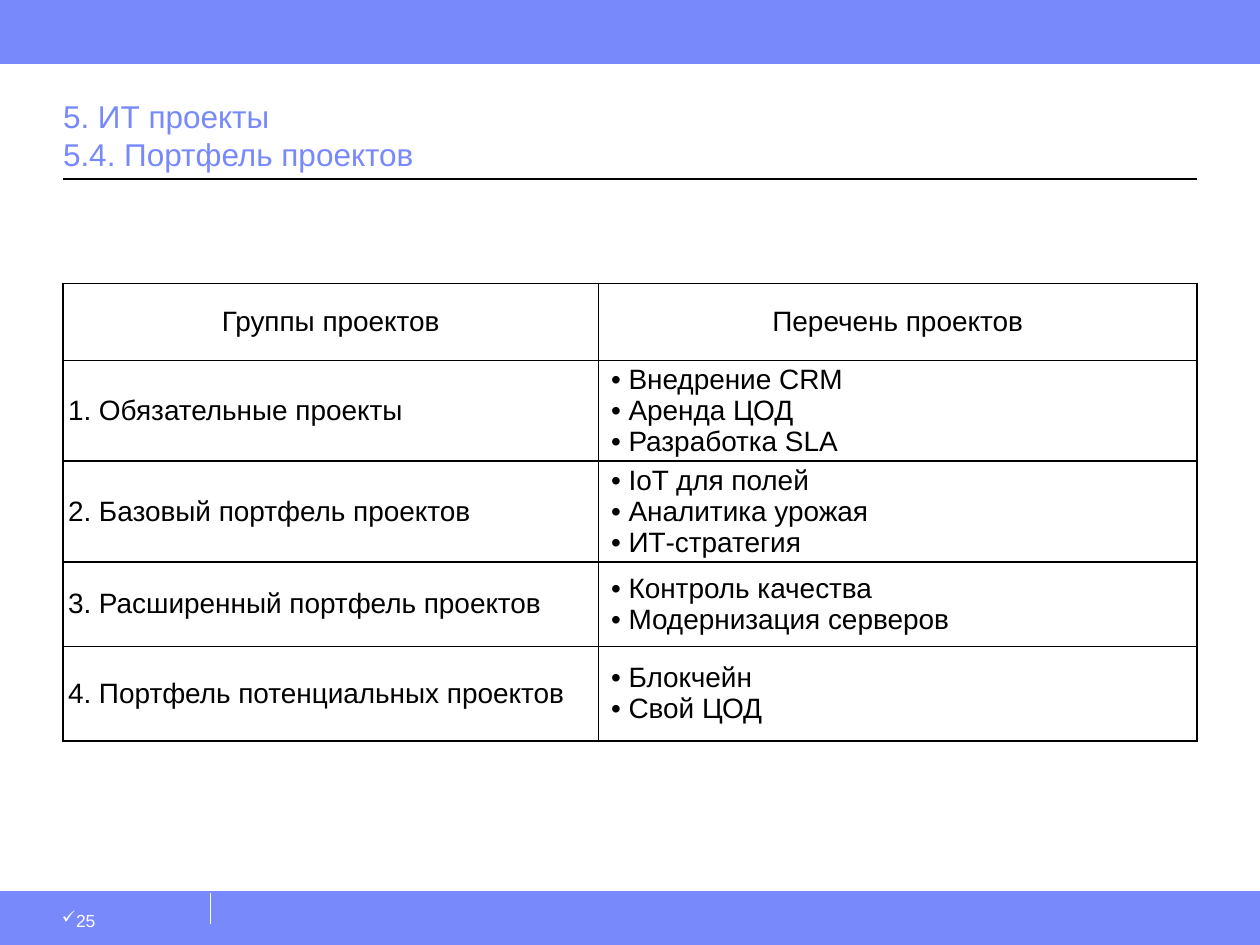
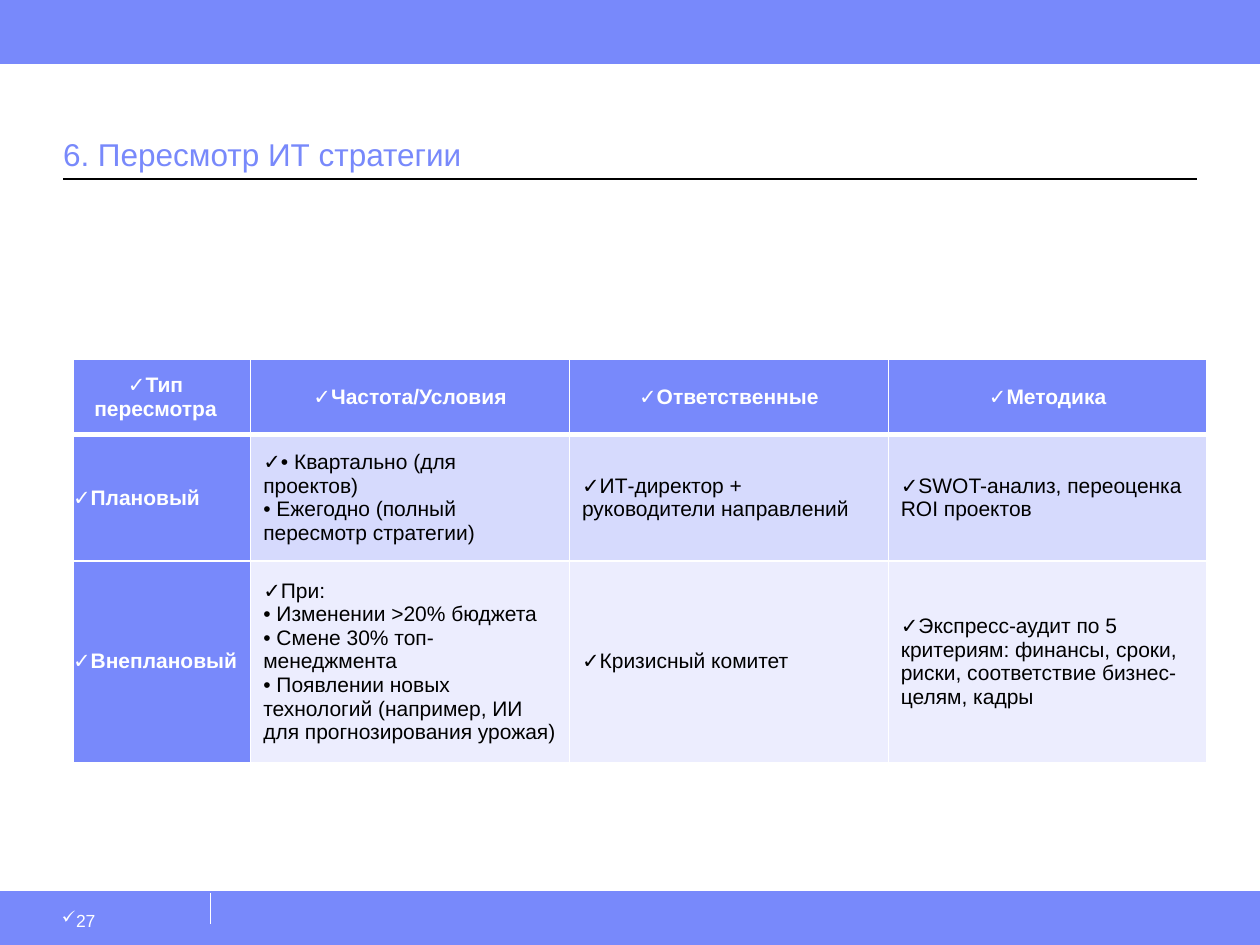
from lxml import etree
from pptx import Presentation
from pptx.dml.color import RGBColor
from pptx.enum import shapes, text
from pptx.oxml import ns
from pptx.util import Inches, Pt

COLORS = {
    "accent": "7889FB",
    "band_dark": "D6DAFD",
    "band_light": "ECEDFE",
    "white": "FFFFFF",
    "black": "000000",
}
FONT = "Arial"
SIDES = ("L", "R", "T", "B")
CHECK = "✓"

PROJECTS = [
    ("Группы проектов", "Перечень проектов"),
    ("1. Обязательные проекты", "• Внедрение CRM\n• Аренда ЦОД\n• Разработка SLA"),
    ("2. Базовый портфель проектов", "• IoT для полей\n• Аналитика урожая\n• ИТ-стратегия"),
    ("3. Расширенный портфель проектов", "• Контроль качества\n• Модернизация серверов"),
    ("4. Портфель потенциальных проектов", "• Блокчейн\n• Свой ЦОД"),
]
REVIEWS = [
    ("Тип пересмотра", "Частота/Условия", "Ответственные", "Методика"),
    (
        "Плановый",
        "• Квартально (для проектов)\n• Ежегодно (полный пересмотр стратегии)",
        "ИТ-директор + руководители направлений",
        "SWOT-анализ, переоценка ROI проектов",
    ),
    (
        "Внеплановый",
        "При:\n• Изменении >20% бюджета\n• Смене 30% топ-менеджмента\n"
        "• Появлении новых технологий (например, ИИ для прогнозирования урожая)",
        "Кризисный комитет",
        "Экспресс-аудит по 5 критериям: финансы, сроки, риски, "
        "соответствие бизнес-целям, кадры",
    ),
]


def color(name):
    return RGBColor.from_string(COLORS[name])


# Text
def write(para, content, size, ink, bold=False):
    for index, line in enumerate(content.split("\n")):
        if index:
            para.add_line_break()
        span = para.add_run()
        span.text = line
        span.font.name = FONT
        span.font.size = Pt(size)
        span.font.bold = bold
        span.font.color.rgb = color(ink)


def indent(para, left):
    properties = para._p.get_or_add_pPr()
    properties.set("marL", str(Inches(left)))
    properties.set("indent", "0")
    return properties


def add_bullet(para, char, font=FONT):
    properties = indent(para, 0)
    etree.SubElement(properties, ns.qn("a:buFont"), typeface=font)
    etree.SubElement(properties, ns.qn("a:buChar"), char=char)


def set_margins(target, left, top, right, bottom):
    target.margin_left, target.margin_top = Inches(left), Inches(top)
    target.margin_right, target.margin_bottom = Inches(right), Inches(bottom)


# Frame shared by all pages
def add_band(page, top, height):
    band = page.shapes.add_shape(
        shapes.MSO_SHAPE.RECTANGLE, 0, Inches(top), Inches(10), Inches(height))
    band.shadow.inherit = False
    band.fill.solid()
    band.fill.fore_color.rgb = color("accent")
    band.line.color.rgb = color("accent")
    band.line.width = Pt(0.75)


def add_line(page, start, end, ink, width=0.75):
    line = page.shapes.add_connector(
        shapes.MSO_CONNECTOR.STRAIGHT, *map(Inches, start + end))
    line.line.color.rgb = color(ink)
    line.line.width = Pt(width)
    etree.SubElement(line._element.spPr, ns.qn("a:effectLst"))


def add_title(page, content):
    title = page.shapes.title
    title.left, title.top = Inches(0.5), Inches(0.5)
    title.width, title.height = Inches(9), Inches(0.92)
    frame = title.text_frame
    frame.auto_size = text.MSO_AUTO_SIZE.NONE
    frame.vertical_anchor = text.MSO_ANCHOR.BOTTOM
    set_margins(frame, 0, 0.05, 0, 0.05)
    para = frame.paragraphs[0]
    para.alignment = text.PP_ALIGN.LEFT
    write(para, content, 18, "accent")


def add_page_number(page, number):
    box = page.shapes.add_textbox(
        Inches(0.33), Inches(7.15), Inches(1.33), Inches(0.35))
    frame = box.text_frame
    frame.word_wrap = True
    set_margins(frame, 0.16, 0.07, 0.1, 0.05)
    para = frame.paragraphs[0]
    add_bullet(para, "ü", "Wingdings")
    write(para, str(number), 10, "white")


def add_page(deck, title, number):
    page = deck.slides.add_slide(deck.slide_layouts[5])
    add_band(page, 7.08, 0.42)
    add_band(page, 0, 0.5)
    add_line(page, (1.67, 7.33), (1.67, 7.08), "white")
    for y in (0.42, 7.08):
        add_line(page, (0, y), (10, y), "accent", 0.5)
    add_line(page, (0.5, 1.42), (9.5, 1.42), "black")
    add_title(page, title)
    add_page_number(page, number)
    return page


# Tables
def add_grid(page, left, top, widths, heights):
    table = page.shapes.add_table(
        len(heights), len(widths), Inches(left), Inches(top),
        Inches(sum(widths)), Inches(sum(heights))).table
    for column, width in zip(table.columns, widths):
        column.width = Inches(width)
    for row, height in zip(table.rows, heights):
        row.height = Inches(height)
    return table


def set_borders(cell, ink, widths):
    properties = cell._tc.get_or_add_tcPr()
    for index, (side, width) in enumerate(zip(SIDES, widths)):
        border = etree.Element(ns.qn(f"a:ln{side}"), w=str(Pt(width)))
        fill = etree.SubElement(border, ns.qn("a:solidFill"))
        etree.SubElement(fill, ns.qn("a:srgbClr"), val=COLORS[ink])
        properties.insert(index, border)


def style_cell(cell, fill, ink, widths=(1, 1, 1, 1)):
    cell.vertical_anchor = text.MSO_ANCHOR.MIDDLE
    if fill:
        cell.fill.solid()
        cell.fill.fore_color.rgb = color(fill)
    else:
        cell.fill.background()
    set_borders(cell, ink, widths)


def add_projects(page):
    table = add_grid(page, 0.5, 2.25, (4.25, 4.75), (0.61, 0.73, 0.67, 0.67, 0.75))
    for r, row in enumerate(PROJECTS):
        for c, content in enumerate(row):
            cell = table.cell(r, c)
            style_cell(cell, None, "black")
            set_margins(cell, 0.04, 0, 0.04, 0)
            para = cell.text_frame.paragraphs[0]
            if r == 0:
                para.alignment = text.PP_ALIGN.CENTER
            elif c == 1:
                indent(para, 0.06)
            write(para, content, 16, "black")


def add_reviews(page):
    table = add_grid(page, 0.58, 2.85, (1.41, 2.53, 2.53, 2.53), (0.41, 0.81, 1.41))
    row_fills = ("accent", "band_dark", "band_light")
    for r, row in enumerate(REVIEWS):
        for c, content in enumerate(row):
            cell = table.cell(r, c)
            heading = r == 0 or c == 0
            top = 3 if r == 1 else 1
            bottom = 3 if r == 0 else 1
            style_cell(cell, "accent" if heading else row_fills[r], "white",
                       (1, 1, top, bottom))
            set_margins(cell, 0 if c == 0 else 0.1, 0.1, 0.1, 0.1)
            para = cell.text_frame.paragraphs[0]
            add_bullet(para, CHECK)
            if r == 0:
                para.alignment = text.PP_ALIGN.CENTER
            write(para, content, 12, "white" if heading else "black", heading)


def main():
    deck = Presentation()
    deck.slide_width, deck.slide_height = Inches(10), Inches(7.5)
    add_projects(add_page(deck, "5. ИТ проекты\n5.4. Портфель проектов", 25))
    add_reviews(add_page(deck, "6. Пересмотр ИТ стратегии", 27))
    deck.save("out.pptx")


if __name__ == "__main__":
    main()
